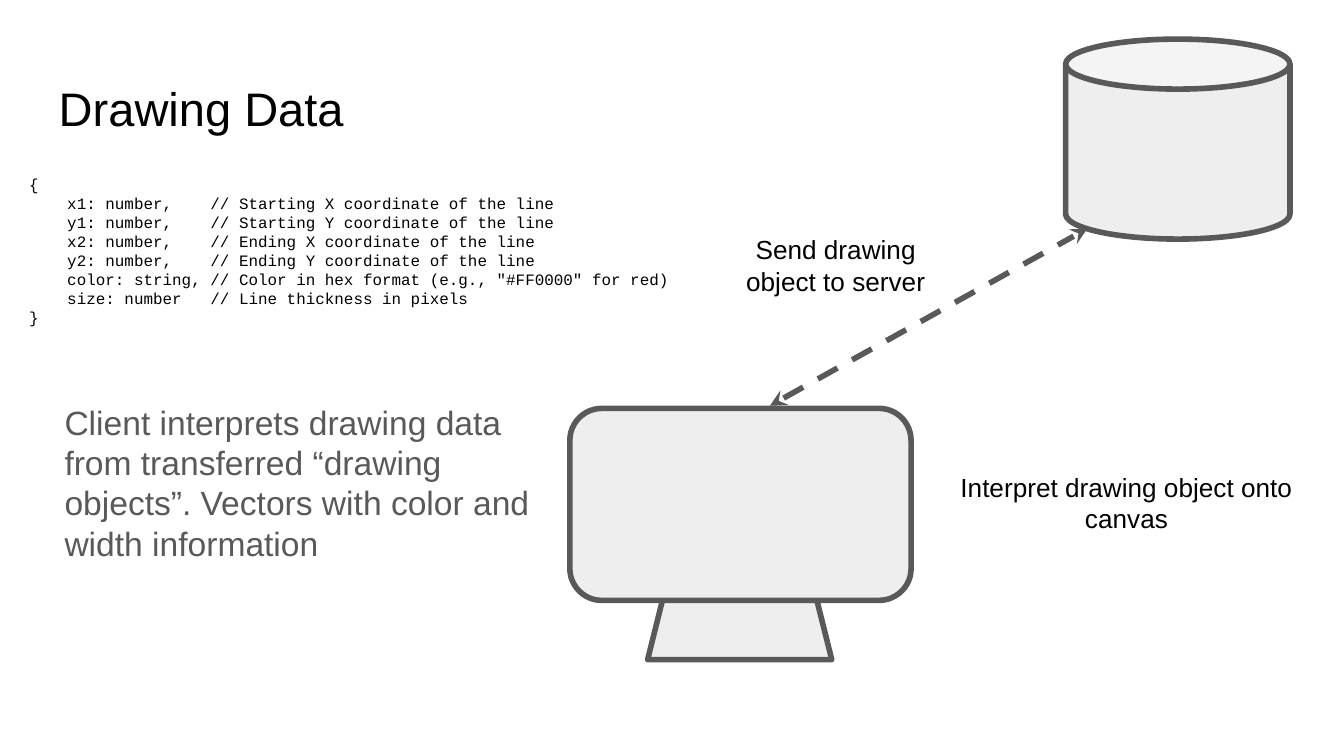
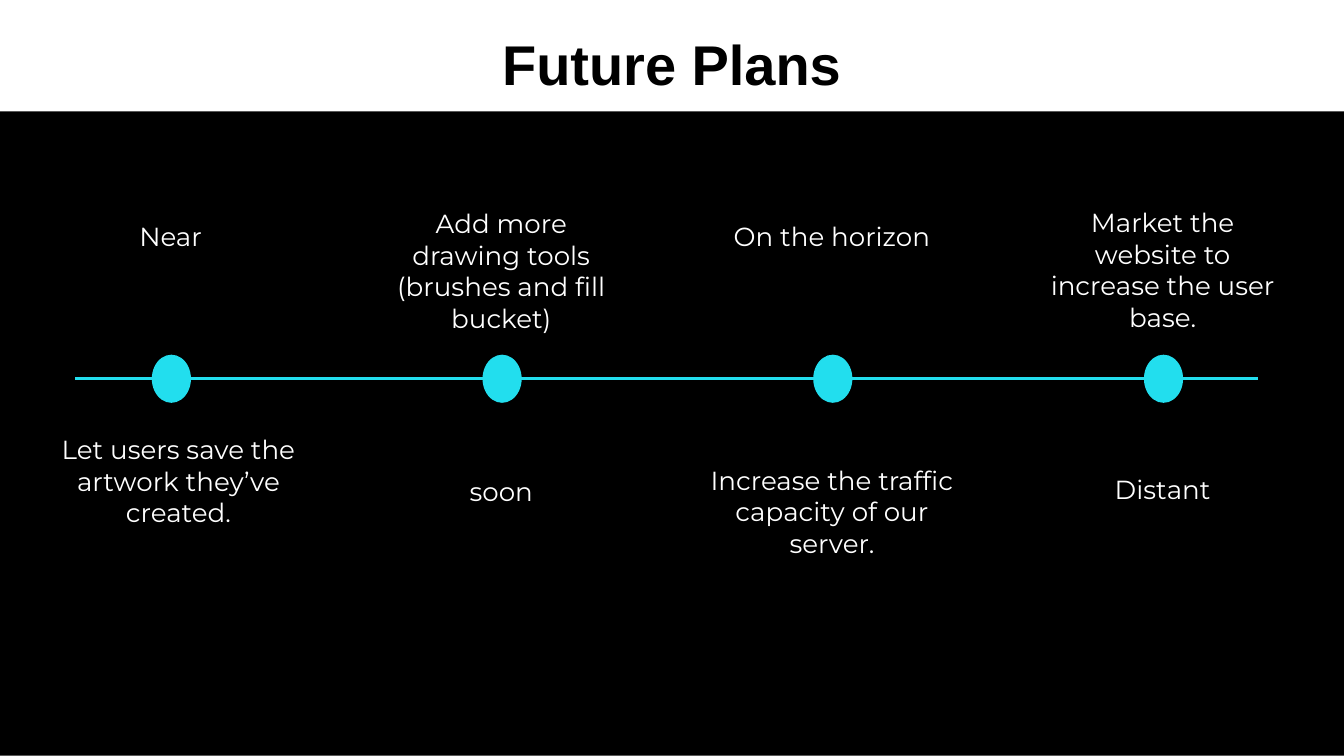
import pptx
import pptx.dml.color
import pptx.enum.dml
import pptx.enum.shapes
import pptx.enum.text
import pptx.oxml.ns
import pptx.util
from dataclasses import dataclass
from lxml import etree

Cm, Pt = pptx.util.Cm, pptx.util.Pt
Shape = pptx.enum.shapes.MSO_SHAPE
Align = pptx.enum.text.PP_ALIGN
Fit = pptx.enum.text.MSO_AUTO_SIZE
Anchor = pptx.enum.text.MSO_ANCHOR

# Content
DRAWING_TITLE = "Drawing Data"
DRAWING_OBJECT = [
    "{",
    "    x1: number,    // Starting X coordinate of the line",
    "    y1: number,    // Starting Y coordinate of the line",
    "    x2: number,    // Ending X coordinate of the line",
    "    y2: number,    // Ending Y coordinate of the line",
    '    color: string, // Color in hex format (e.g., "#FF0000" for red)',
    "    size: number   // Line thickness in pixels",
    "}",
]
CLIENT_SUMMARY = ("Client interprets drawing data from transferred “drawing objects”. "
                  "Vectors with color and width information")
# Captions: text, box in cm
CAPTIONS = [
    ("Interpret drawing object onto canvas", (17.48, 8.66, 7.62, 1.7)),
    ("Send drawing object to server", (13.46, 4.17, 4.67, 1.7)),
]

PLANS_TITLE = "Future Plans"
# Each milestone: (text, top, height) above the axis, then below it
MILESTONES = [
    (("Near", 3.91, 1.47), ("Let users save the artwork they’ve created.", 7.95, 5.97)),
    (("Add more drawing tools (brushes and fill bucket)", 3.68, 3.1), ("soon", 8.74, 1.47)),
    (("On the horizon", 3.91, 1.47), ("Increase the traffic capacity of our server.", 8.53, 3.1)),
    (("Market the website to increase the user base.", 3.66, 3.1), ("Distant", 8.69, 1.47)),
]


@dataclass(frozen=True)
class Theme:
    black: str = "000000"
    white: str = "FFFFFF"
    gray: str = "595959"
    pale: str = "EEEEEE"
    cyan: str = "22DEEE"
    sans: str = "Arial"
    mono: str = "Courier New"
    display: str = "Montserrat"
    title: float = 25.2
    big_title: float = 30
    summary: float = 18
    caption: float = 14
    code: float = 8.5
    inset: float = 0.25


THEME = Theme()


# Shared helpers
def rgb(color):
    return pptx.dml.color.RGBColor.from_string(color)


def place(shape, box):
    shape.left, shape.top, shape.width, shape.height = map(Cm, box)


def write(shape, lines, size, color, font=THEME.sans, align=Align.LEFT,
          bold=False, fit=Fit.NONE, anchor=Anchor.TOP):
    frame = shape.text_frame
    frame.word_wrap, frame.auto_size, frame.vertical_anchor = True, fit, anchor
    frame.margin_left = frame.margin_right = Cm(THEME.inset)
    frame.margin_top = frame.margin_bottom = Cm(THEME.inset)
    for index, line in enumerate(lines):
        paragraph = frame.paragraphs[0] if index == 0 else frame.add_paragraph()
        if shape.is_placeholder:
            props = paragraph._p.get_or_add_pPr()
            props.set("marL", "0")
            props.set("indent", "0")
            etree.SubElement(props, pptx.oxml.ns.qn("a:buNone"))
        paragraph.add_run().text = line
        paragraph.alignment = align
        paragraph.space_before = Pt(0)
        paragraph.line_spacing = 1.0
        paragraph.font.size, paragraph.font.bold = Pt(size), bold
        paragraph.font.name, paragraph.font.color.rgb = font, rgb(color)


def add_text(shapes, text, box, size, color, **style):
    label = shapes.add_textbox(*map(Cm, box))
    write(label, [text], size, color, **style)


def set_title(slide, text, box, size, **style):
    place(slide.shapes.title, box)
    write(slide.shapes.title, [text], size, THEME.black, anchor=Anchor.MIDDLE, **style)


def add_solid(shapes, kind, box, fill, outline=None, weight=3):
    solid = shapes.add_shape(kind, *map(Cm, box))
    solid.shadow.inherit = False
    solid.fill.solid()
    solid.fill.fore_color.rgb = rgb(fill)
    if outline:
        solid.line.color.rgb = rgb(outline)
        solid.line.width = Pt(weight)
    else:
        solid.line.fill.background()


def add_line(shapes, start, end, color, weight):
    line = shapes.add_connector(pptx.enum.shapes.MSO_CONNECTOR.STRAIGHT,
                                *map(Cm, start + end))
    line.line.color.rgb = rgb(color)
    line.line.width = Pt(weight)
    etree.SubElement(line._element.spPr, pptx.oxml.ns.qn("a:effectLst"))
    return line


# Slide 1: drawing data
def build_drawing_data(deck):
    slide = deck.slides.add_slide(deck.slide_layouts[1])
    shapes = slide.shapes
    set_title(slide, DRAWING_TITLE, (0.86, 1.24, 23.67, 1.6), THEME.title)
    code = slide.placeholders[1]
    place(code, (0.3, 3.05, 14, 3.94))
    write(code, DRAWING_OBJECT, THEME.code, THEME.black, font=THEME.mono)

    # Client monitor and server store
    monitor = shapes.add_group_shape().shapes
    add_solid(monitor, Shape.TRAPEZOID, (12.24, 10.97, 3.48, 1.5), THEME.pale, THEME.gray)
    add_solid(monitor, Shape.ROUNDED_RECTANGLE, (10.77, 7.72, 6.45, 3.63),
              THEME.pale, THEME.gray)
    add_solid(shapes, Shape.CAN, (20.14, 0.74, 4.24, 3.78), THEME.pale, THEME.gray)
    exchange = add_line(shapes, (14.55, 7.67), (20.55, 4.32), THEME.gray, 3)
    exchange.line.dash_style = pptx.enum.dml.MSO_LINE.DASH
    for end in ("a:headEnd", "a:tailEnd"):
        etree.SubElement(exchange.line._get_or_add_ln(), pptx.oxml.ns.qn(end), type="stealth")

    # Explanations
    add_text(shapes, CLIENT_SUMMARY, (0.97, 7.34, 9.73, 3.58), THEME.summary, THEME.gray,
             fit=Fit.SHAPE_TO_FIT_TEXT)
    for text, box in CAPTIONS:
        add_text(shapes, text, box, THEME.caption, THEME.black, align=Align.CENTER,
                 fit=Fit.SHAPE_TO_FIT_TEXT)


# Slide 2: timeline of plans
def build_future_plans(deck):
    slide = deck.slides.add_slide(deck.slide_layouts[5])
    add_solid(slide.shapes, Shape.RECTANGLE, (-1.09, 2.11, 28.22, 12.17),
              THEME.black, THEME.gray, 0.75)
    set_title(slide, PLANS_TITLE, (0.86, 0.3, 23.67, 1.8), THEME.big_title,
              align=Align.CENTER, bold=True)

    timeline = slide.shapes.add_group_shape().shapes
    pitch, axis = 6.25, 7.16
    dot_width, dot_height = 0.74, 0.91
    add_line(timeline, (1.42, axis), (23.77, axis), THEME.cyan, 1.5)
    for column, milestone in enumerate(MILESTONES):
        offset = column * pitch
        for row, (text, top, height) in enumerate(milestone):
            # The first note below the axis is wider than the other labels
            left, width = (0.25, 6.25) if (column, row) == (0, 1) else (0.66, 5.13)
            add_text(timeline, text, (left + offset, top, width, height), THEME.caption,
                     THEME.white, font=THEME.display, align=Align.CENTER)
        add_solid(timeline, Shape.OVAL,
                  (2.87 + offset, axis - dot_height / 2, dot_width, dot_height), THEME.cyan)


def main():
    deck = pptx.Presentation()
    deck.slide_width, deck.slide_height = Cm(25.4), Cm(14.29)
    build_drawing_data(deck)
    build_future_plans(deck)
    deck.save("out.pptx")


if __name__ == "__main__":
    main()
